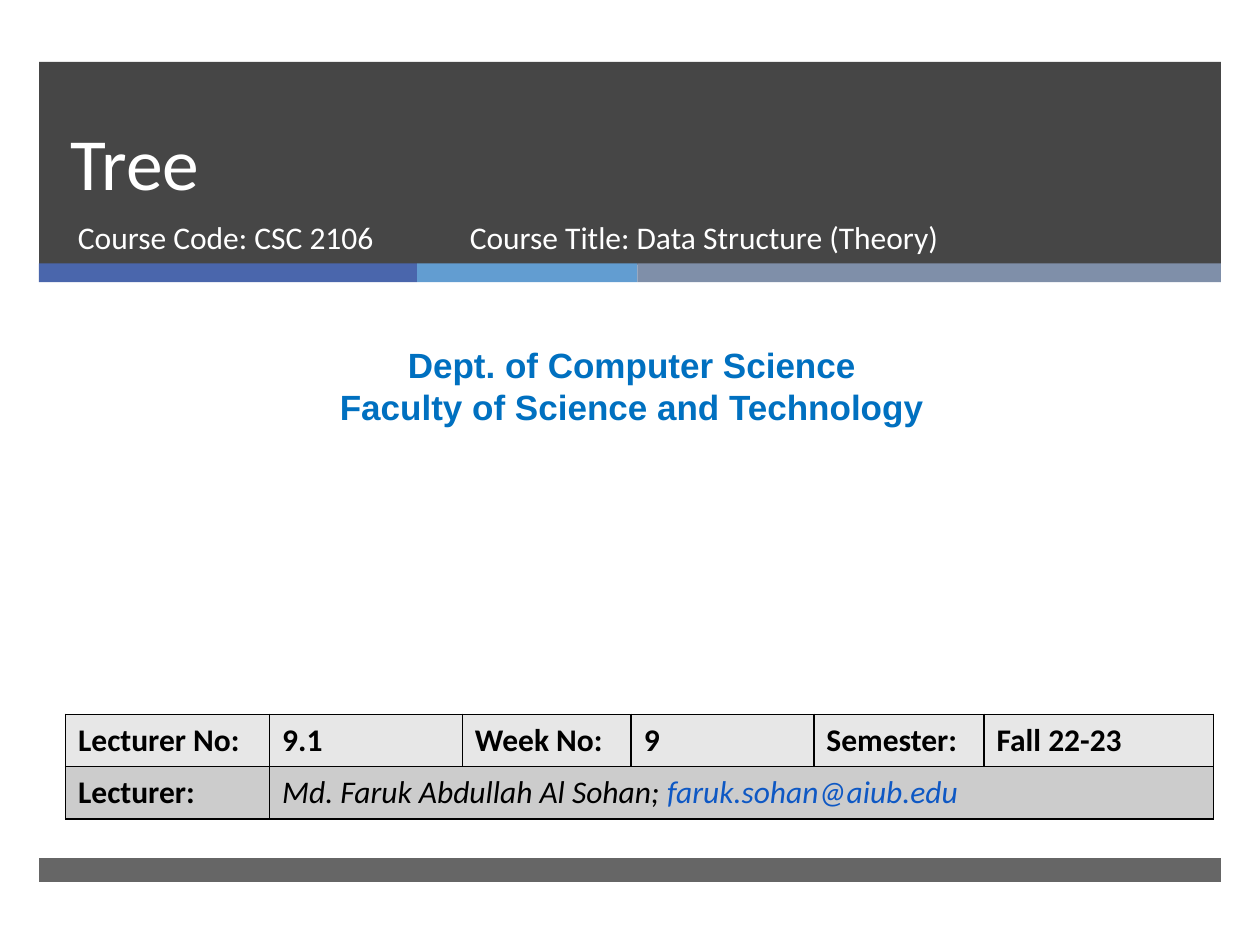
"""Build the title slide of a data structure lecture on trees."""
from dataclasses import dataclass

from lxml import etree
from pptx import Presentation
from pptx.dml.color import RGBColor
from pptx.enum.shapes import MSO_SHAPE
from pptx.enum.text import MSO_ANCHOR, PP_ALIGN
from pptx.oxml.ns import qn
from pptx.util import Inches, Pt

RECTANGLE = MSO_SHAPE.RECTANGLE
TOP, MIDDLE, BOTTOM = MSO_ANCHOR.TOP, MSO_ANCHOR.MIDDLE, MSO_ANCHOR.BOTTOM
LEFT, CENTER = PP_ALIGN.LEFT, PP_ALIGN.CENTER


@dataclass(frozen=True)
class Theme:
    dark: str = "262626"
    stripes: tuple = ("4A66AC", "629DD1", "7F8FA9")
    white: str = "FFFFFF"
    black: str = "000000"
    department: str = "0070C0"
    address: str = "0E58C4"
    rows: tuple = ("E7E7E7", "CCCCCC")
    body_font: str = "Calibri"
    department_font: str = "Arial"
    title_size: int = 42
    title_spacing: int = 46
    department_size: int = 20
    body_size: int = 18
    border: int = 1


theme = Theme()
presentation = Presentation()
presentation.slide_width, presentation.slide_height = Inches(10), Inches(7.5)
slide = presentation.slides.add_slide(presentation.slide_layouts[6])
column = presentation.slide_width / 100
row = presentation.slide_height / 75


def add_band(left, top, width, height, color, opacity=100):
    shape = slide.shapes.add_shape(
        RECTANGLE, int(left * column), int(top * row), int(width * column), int(height * row))
    shape.shadow.inherit = False
    shape.line.fill.background()
    shape.fill.solid()
    shape.fill.fore_color.rgb = RGBColor.from_string(color)
    if opacity < 100:
        color_element = shape._element.spPr.find(".//" + qn("a:srgbClr"))
        etree.SubElement(color_element, qn("a:alpha"), val=str(opacity * 1000))


def add_run(paragraph, text, color, size=theme.body_size, font=theme.body_font,
            bold=False, italic=False):
    run = paragraph.add_run()
    run.text = text
    run.font.name, run.font.size = font, Pt(size)
    run.font.bold, run.font.italic = bold, italic
    run.font.color.rgb = RGBColor.from_string(color)


margin, content_width = 3.1, 93.8
add_band(margin, 4.9, content_width, 16.1, theme.dark, 85)
stripe_left = margin
for stripe_width, stripe_color in zip((30, 17.5, 46.3), theme.stripes):
    add_band(stripe_left, 20.9, stripe_width, 1.5, stripe_color)
    stripe_left += stripe_width
add_band(margin, 68.1, content_width, 1.9, theme.dark, 70)

title_style = (theme.white, theme.title_size)
course_style = (theme.white,)
department_style = (theme.department, theme.department_size, theme.department_font, True)
text_boxes = (
    ((4.6, 4.9, 85.4, 11.9), BOTTOM, LEFT, title_style, theme.title_spacing, ("Tree",)),
    ((5.2, 16.8, 30.5, 5.3), TOP, LEFT, course_style, None, ("Course Code: CSC 2106",)),
    ((36.3, 16.8, 45.5, 5.3), TOP, LEFT, course_style, None,
     ("Course Title: Data Structure (Theory)",)),
    ((0.8, 26.8, 98.7, 7.7), TOP, CENTER, department_style, None,
     ("Dept. of Computer Science", "Faculty of Science and Technology")),
)
for (left, top, width, height), anchor, alignment, style, spacing, lines in text_boxes:
    text_frame = slide.shapes.add_textbox(
        int(left * column), int(top * row), int(width * column), int(height * row)).text_frame
    text_frame.word_wrap = True
    text_frame.vertical_anchor = anchor
    for index, line in enumerate(lines):
        paragraph = text_frame.add_paragraph() if index else text_frame.paragraphs[0]
        paragraph.alignment = alignment
        if spacing:
            paragraph.line_spacing = Pt(spacing)
        add_run(paragraph, line, *style)

column_widths = (16.2, 15.3, 13.4, 14.5, 13.5, 18.2)
table = slide.shapes.add_table(
    2, len(column_widths), int(5.2 * column), int(56.7 * row),
    int(sum(column_widths) * column), int(8.3 * row)).table
for table_column, width in zip(table.columns, column_widths):
    table_column.width = int(width * column)
for table_row, fill_color in zip(table.rows, theme.rows):
    for cell in table_row.cells:
        cell.vertical_anchor = MIDDLE
        properties = cell._tc.get_or_add_tcPr()
        for side in ("a:lnL", "a:lnR", "a:lnT", "a:lnB"):
            border = etree.SubElement(properties, qn(side), w=str(Pt(theme.border)))
            border_fill = etree.SubElement(border, qn("a:solidFill"))
            etree.SubElement(border_fill, qn("a:srgbClr"), val=theme.black)
        cell.fill.solid()
        cell.fill.fore_color.rgb = RGBColor.from_string(fill_color)
table.cell(1, 1).merge(table.cell(1, 5))

labels = (
    ("Lecturer No:", "9.1", "Week No:", "9", "Semester:", "Fall 22-23"),
    ("Lecturer:",),
)
for row_index, row_labels in enumerate(labels):
    for column_index, label in enumerate(row_labels):
        paragraph = table.cell(row_index, column_index).text_frame.paragraphs[0]
        add_run(paragraph, label, theme.black, bold=True)
lecturer = table.cell(1, 1).text_frame.paragraphs[0]
add_run(lecturer, "Md. Faruk Abdullah Al Sohan; ", theme.black, italic=True)
add_run(lecturer, "faruk.sohan@aiub.edu", theme.address, italic=True)

presentation.save("out.pptx")
